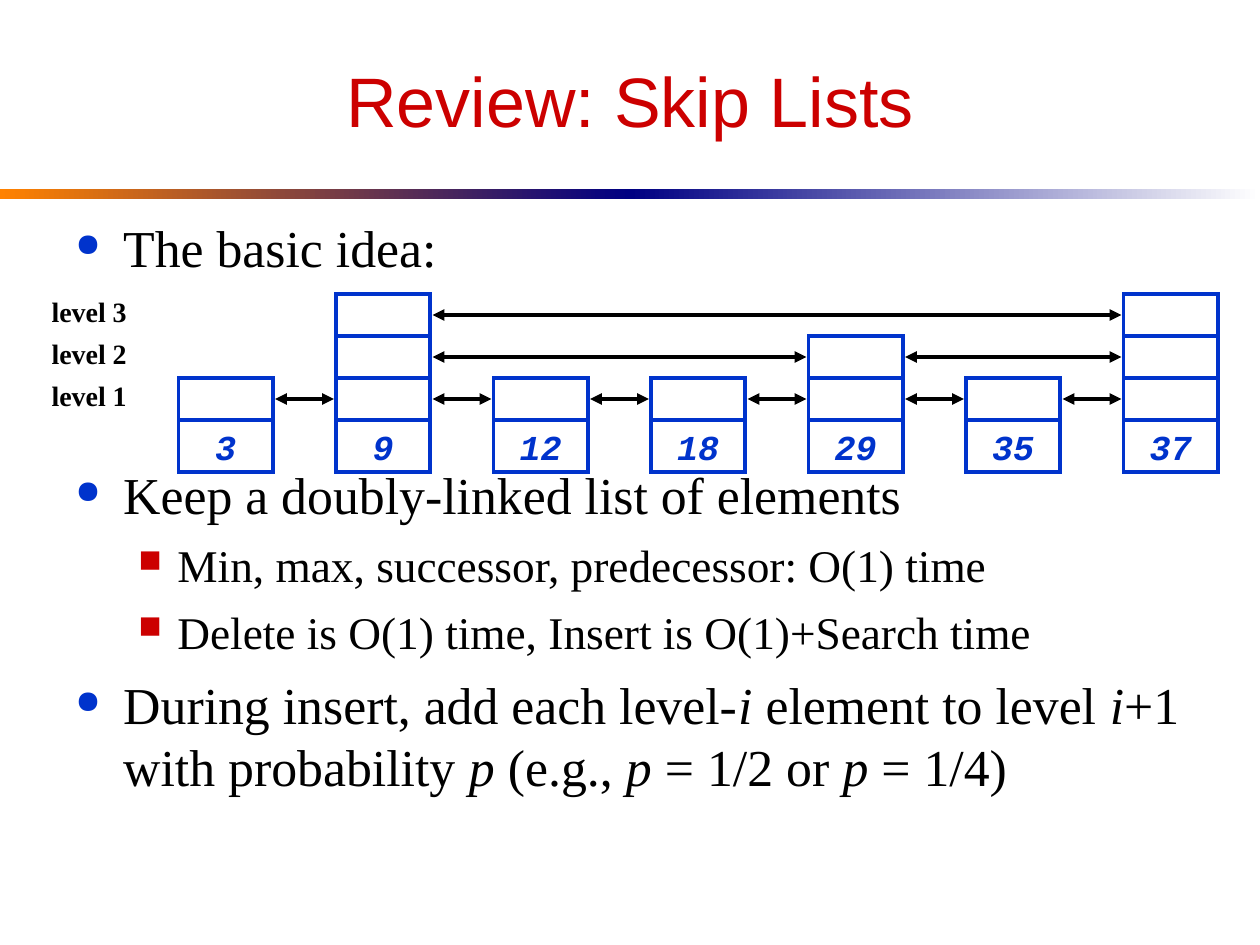
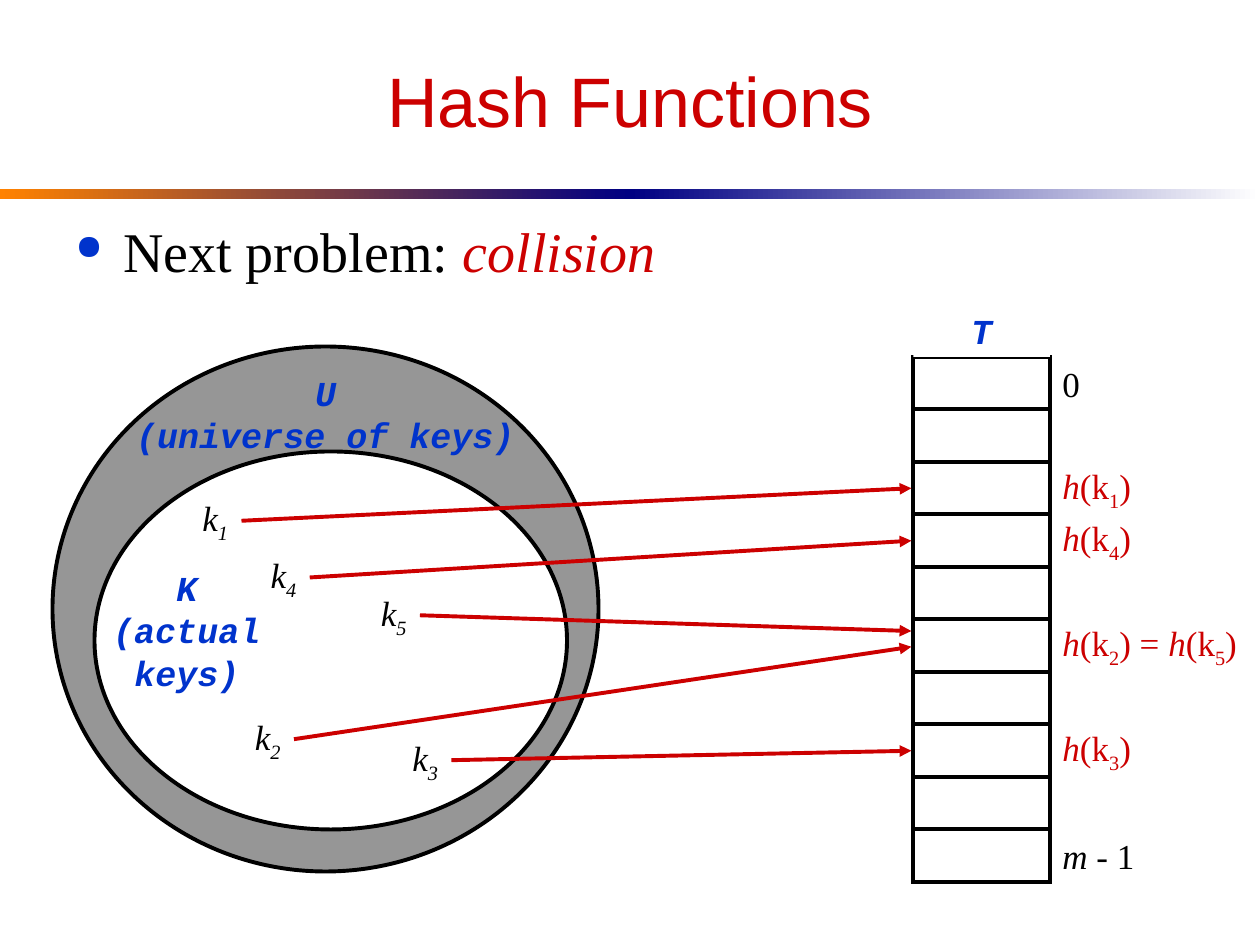
from dataclasses import dataclass

from lxml.etree import SubElement
from pptx import Presentation
from pptx.dml.color import RGBColor as RGB
from pptx.enum.shapes import MSO_CONNECTOR as CONN, MSO_SHAPE as SHAPE
from pptx.enum.text import MSO_ANCHOR as ANCHOR, MSO_AUTO_SIZE as FIT, PP_ALIGN as ALIGN
from pptx.oxml.ns import qn
from pptx.util import Inches, Pt


@dataclass(frozen=True)
class Theme:
    red: str = "CC0000"
    blue: str = "0033CC"
    black: str = "000000"
    white: str = "FFFFFF"
    gray: str = "969696"
    navy: str = "000082"
    orange: str = "FF8200"
    sans: str = "Arial"
    serif: str = "Times New Roman"
    mono: str = "Courier New"
    title: float = 40
    body: float = 32
    body_tight: float = 29.6
    sub_tight: float = 25.9
    label: float = 20
    small: float = 16
    stroke: float = 2.25


T = Theme()
COLS, ROWS = 120, 90
BULLETS = (("●", T.blue, 62, 0.38, -0.38, 8), ("■", T.red, 70, 0.81, -0.31, 7))


class Deck:
    def __init__(self):
        self.prs = Presentation()
        self.prs.slide_width, self.prs.slide_height = Inches(10), Inches(7.5)
        self.s = None

    def x(self, cols):
        return round(self.prs.slide_width * cols / COLS)

    def y(self, rows):
        return round(self.prs.slide_height * rows / ROWS)

    def box(self, left, top, width, height):
        return self.x(left), self.y(top), self.x(width), self.y(height)

    def slide(self, title):
        self.s = self.prs.slides.add_slide(self.prs.slide_layouts[6])
        for left, colors in ((0, (T.orange, T.navy)), (60, (T.navy, T.white))):
            fill = self.shape((left, 18, 60, 1)).fill
            fill.gradient()
            fill.gradient_angle = 0
            for stop, color in zip(fill.gradient_stops, colors):
                stop.color.rgb = RGB.from_string(color)
        self.text((6, 3, 108, 13), [[(title, "")]], T.title, T.sans, T.red)

    def shape(self, at, fill=T.white, line=None, kind=SHAPE.RECTANGLE):
        sp = self.s.shapes.add_shape(kind, *self.box(*at))
        sp.shadow.inherit = False
        sp.fill.solid()
        sp.fill.fore_color.rgb = RGB.from_string(fill)
        if line:
            sp.line.color.rgb = RGB.from_string(line)
            sp.line.width = Pt(T.stroke)
            SubElement(sp.line._get_or_add_ln(), qn("a:miter"), lim="800000")
        else:
            sp.line.fill.background()
        return sp

    def run(self, p, text, style, size, font, color):
        r = p.add_run()
        r.text = text
        r.font.size, r.font.name = Pt(size), font
        r.font.bold, r.font.italic = "b" in style, "i" in style
        r.font.color.rgb = RGB.from_string(T.red if "r" in style else color)
        if "s" in style:
            r._r.get_or_add_rPr().set("baseline", "-25000")

    def text(self, at, lines, size=T.label, font=T.serif, color=T.black,
             align=ALIGN.CENTER, sp=None, spacing=None):
        sp = sp or self.s.shapes.add_textbox(*self.box(*at))
        tf = sp.text_frame
        tf.word_wrap = False
        tf.auto_size = FIT.NONE
        tf.vertical_anchor = ANCHOR.MIDDLE
        for i, runs in enumerate(lines):
            p = tf.add_paragraph() if i else tf.paragraphs[0]
            p.alignment = align
            if spacing:
                p.line_spacing = spacing
            for text, style in runs:
                self.run(p, text, style, size, font, color)

    def code(self, at, *lines, sp=None):
        self.text(at, [[(line, "bi")] for line in lines],
                  font=T.mono, color=T.blue, sp=sp)

    def bullets(self, at, items, sizes):
        tf = self.s.shapes.add_textbox(*self.box(*at)).text_frame
        tf.word_wrap = True
        for i, (level, runs) in enumerate(items):
            char, color, share, margin, indent, before = BULLETS[level]
            p = tf.add_paragraph() if i else tf.paragraphs[0]
            if i:
                p.space_before = Pt(before)
            pPr = p._p.get_or_add_pPr()
            pPr.set("marL", str(Inches(margin)))
            pPr.set("indent", str(Inches(indent)))
            clr = SubElement(pPr, qn("a:buClr"))
            SubElement(clr, qn("a:srgbClr"), val=color)
            SubElement(pPr, qn("a:buSzPct"), val=str(share * 1000))
            SubElement(pPr, qn("a:buChar"), char=char)
            for text, style in runs:
                self.run(p, text, style, sizes[level], T.serif, T.black)

    def arrow(self, start, end, color=T.black, both=False):
        (x1, y1), (x2, y2) = start, end
        c = self.s.shapes.add_connector(CONN.STRAIGHT, self.x(x1), self.y(y1),
                                        self.x(x2), self.y(y2))
        c.line.color.rgb = RGB.from_string(color)
        c.line.width = Pt(T.stroke)
        ln = c.line._get_or_add_ln()
        for tag in ("a:headEnd", "a:tailEnd") if both else ("a:tailEnd",):
            SubElement(ln, qn(tag), type="triangle")
        SubElement(c._element.spPr, qn("a:effectLst"))


def skip_lists(d):
    d.slide("Review: Skip Lists")
    sizes = (T.body_tight, T.sub_tight)
    d.bullets((6, 20, 108, 7), [(0, [("The basic idea:", "")])], sizes)
    d.bullets((6, 43.5, 108, 33), [
        (0, [("Keep a doubly-linked list of elements", "")]),
        (1, [("Min, max, successor, predecessor: O(1) time", "")]),
        (1, [("Delete is O(1) time, Insert is O(1)+Search time", "")]),
        (0, [("During insert, add each level-", ""), ("i ", "i"),
             ("element to level ", ""), ("i", "i"),
             ("+1 with probability ", ""), ("p ", "i"), ("(e.g., ", ""),
             ("p", "i"), (" = 1/2 or ", ""), ("p", "i"), (" = 1/4)", "")]),
    ], sizes)
    nodes = ((3, 1), (9, 3), (12, 1), (18, 1), (29, 2), (35, 1), (37, 3))
    first, pitch, width, height, base = 17, 15, 9, 4, 40
    for i, (key, _) in enumerate(nodes):
        at = (first + pitch * i, base, width, 5)
        d.code(at, str(key), sp=d.shape(at, line=T.blue))
    for level in (1, 2, 3):
        top = base - height * level
        at = (2, top, 13, height)
        d.text(at, [[(f"level {level}", "b")]], T.small, sp=d.shape(at), spacing=0.7)
        lefts = [first + pitch * i for i, (_, h) in enumerate(nodes) if h >= level]
        for left in lefts:
            d.shape((left, top, width, height), line=T.blue)
        mid = top + height / 2
        for a, b in zip(lefts, lefts[1:]):
            d.arrow((a + width + 0.2, mid), (b - 0.2, mid), both=True)


def hash_functions(d):
    d.slide("Hash Functions")
    d.bullets((6, 20, 108, 12),
              [(0, [("Next problem: ", ""), ("collision", "ir")])], (T.body,))
    d.shape((5, 33, 52, 50), T.gray, T.black, SHAPE.OVAL)
    d.shape((9, 43, 45, 36), T.white, T.black, SHAPE.OVAL)
    left, top, width, height, slots = 87, 34, 13, 5, 10
    for i in reversed(range(slots)):
        d.shape((left, top + height * i, width, height), line=T.black)
    at = (left, top - height, width, height)
    d.code(at, "T", sp=d.shape(at))

    def h(key):
        return [("h", "ir"), ("(k", "r"), (key, "rs"), (")", "r")]

    labels = {0: [("0", "")], 2: h("1"), 3: h("4"),
              5: h("2") + [(" = ", "r")] + h("5"), 7: h("3"),
              slots - 1: [("m", "i"), (" - 1", "")]}
    right = left + width
    for slot, runs in labels.items():
        d.text((right, top + height * slot, COLS - right, height), [runs],
               align=ALIGN.LEFT)
    d.code((9, 34.8, 44, 9.2), "U", "(universe of keys)")
    d.code((8.8, 53.4, 18, 13.2), "K", "(actual", "keys)")
    keys = (("1", 20.5, 49.6, 46.5), ("4", 27, 55, 51.5), ("5", 37.5, 58.6, 60.1),
            ("2", 25.5, 70.4, 61.6), ("3", 40.5, 72.4, 71.5))
    for key, x, y, target in keys:
        d.text((x - 5, y - 3, 10, 6), [[("k", "i"), (key, "is")]])
        d.arrow((x + 2.5, y), (left - 0.2, target), T.red)


def main():
    d = Deck()
    skip_lists(d)
    hash_functions(d)
    d.prs.save("out.pptx")


if __name__ == "__main__":
    main()
